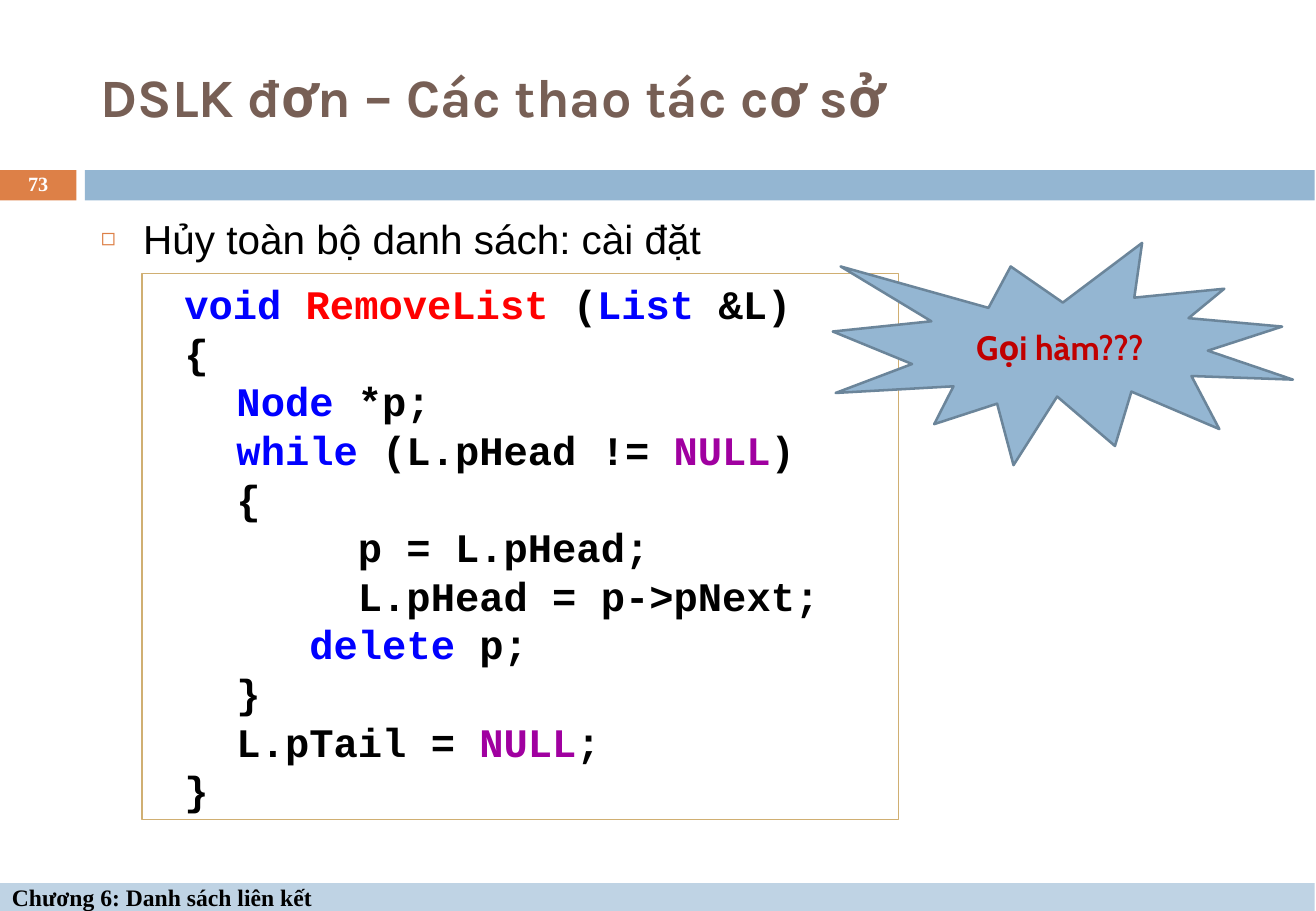
from lxml.etree import SubElement
from pptx import Presentation
from pptx.dml.color import RGBColor
from pptx.enum.shapes import MSO_SHAPE
from pptx.enum.text import MSO_ANCHOR, MSO_AUTO_SIZE, PP_ALIGN
from pptx.oxml.ns import qn
from pptx.util import Inches, Pt

COLORS = {
    "orange": "DD8047", "blue": "94B6D2", "pale": "BFD3E4", "brown": "775F55",
    "black": "000000", "white": "FFFFFF", "gold": "D0AF72", "steel": "6B859A",
    "keyword": "0000FF", "function": "FF0000", "constant": "A000A0",
    "question": "C00000",
}

# Each code line is a list of (text, colour) pieces.
CODE = [
    [("void ", "keyword"), ("RemoveList ", "function"), ("(", "black"),
     ("List", "keyword"), (" &L)", "black")],
    [("{", "black")],
    [("\tNode\t", "keyword"), ("*p;", "black")],
    [("\twhile", "keyword"), (" (L.pHead != ", "black"),
     ("NULL", "constant"), (")", "black")],
    [("\t{", "black")],
    [("\t\tp = L.pHead;", "black")],
    [("\t\tL.pHead = p->pNext;", "black")],
    [("\t   delete ", "keyword"), ("p;", "black")],
    [("\t}", "black")],
    [("\tL.pTail = ", "black"), ("NULL", "constant"), (";", "black")],
    [("}", "black")],
]
CODE_TABS = [0, 1.38, 2, 3, 4, 5, 6, 7]


def rgb(name):
    return RGBColor.from_string(COLORS[name])


def place(element, left, top, width, height):
    element.left, element.top = Inches(left), Inches(top)
    element.width, element.height = Inches(width), Inches(height)


def add_box(slide, box, kind=MSO_SHAPE.RECTANGLE, fill=None, line=None, weight=0.75):
    shape = slide.shapes.add_shape(kind, *map(Inches, box))
    shape.shadow.inherit = False
    if fill:
        shape.fill.solid()
        shape.fill.fore_color.rgb = rgb(fill)
    else:
        shape.fill.background()
    if line:
        shape.line.color.rgb = rgb(line)
        shape.line.width = Pt(weight)
    else:
        shape.line.fill.background()
    return shape


def set_indent(paragraph, margin, first):
    props = paragraph._p.get_or_add_pPr()
    props.set("marL", str(Inches(margin)))
    props.set("indent", str(Inches(first)))
    return props


def add_bullet(paragraph, char, color, percent):
    props = set_indent(paragraph, 0.35, -0.35)
    bullet_color = SubElement(props, qn("a:buClr"))
    SubElement(bullet_color, qn("a:srgbClr"), val=COLORS[color])
    SubElement(props, qn("a:buSzPct"), val=str(percent * 1000))
    SubElement(props, qn("a:buChar"), char=char)


def add_tabs(paragraph, stops):
    props = set_indent(paragraph, 0.68, -0.43)
    props.set("defTabSz", str(Inches(1)))
    tabs = SubElement(props, qn("a:tabLst"))
    for stop in stops:
        SubElement(tabs, qn("a:tab"), pos=str(Inches(stop)), algn="l")


def write(shape, lines, font, size, color="black", bold=True, align=PP_ALIGN.LEFT,
          anchor=MSO_ANCHOR.MIDDLE, spacing=None, tabs=None):
    """Fill a shape with one string, or with lines made of (text, colour) pieces."""
    if isinstance(lines, str):
        lines = [[(lines, color)]]
    frame = shape.text_frame
    frame.word_wrap = True
    frame.auto_size = MSO_AUTO_SIZE.NONE
    frame.vertical_anchor = anchor
    for index, pieces in enumerate(lines):
        paragraph = frame.add_paragraph() if index else frame.paragraphs[0]
        paragraph.alignment = align
        paragraph.space_before = Pt(0)
        if spacing:
            paragraph.line_spacing = spacing
        if tabs:
            add_tabs(paragraph, tabs)
        for text, piece_color in pieces:
            run = paragraph.add_run()
            run.text = text
            run.font.name = font
            run.font.size = Pt(size)
            run.font.bold = bold
            run.font.color.rgb = rgb(piece_color)


def main():
    deck = Presentation()
    deck.slide_width, deck.slide_height = Inches(10.84), Inches(7.5)
    slide = deck.slides.add_slide(deck.slide_layouts[1])

    title, body = slide.placeholders
    place(title, 0.73, 0.25, 9.66, 1.08)
    write(title, "DSLK đơn – Các thao tác cơ sở", "Karla", 32, color="brown")
    place(body, 0.73, 1.75, 9.66, 4.92)
    write(body, "Hủy toàn bộ danh sách: cài đặt", "Arial", 24, bold=False,
          anchor=MSO_ANCHOR.TOP, spacing=Pt(26))
    add_bullet(body.text_frame.paragraphs[0], "◻", "orange", 60)

    add_box(slide, (0, 1.4, 0.63, 0.25), fill="orange")
    add_box(slide, (0.7, 1.4, 10.13, 0.25), fill="blue")
    chapter = add_box(slide, (0, 7.27, 10.83, 0.23), fill="pale")
    write(chapter, "Chương 6: Danh sách liên kết", "Times New Roman", 14)

    page_number = slide.shapes.add_textbox(*map(Inches, (0, 1.39, 0.63, 0.27)))
    write(page_number, "73", "Times New Roman", 12, color="white",
          align=PP_ALIGN.CENTER, spacing=0.8)

    listing = add_box(slide, (1.17, 2.25, 6.23, 4.5), line="gold")
    write(listing, CODE, "Courier New", 24, anchor=MSO_ANCHOR.TOP, tabs=CODE_TABS)

    burst = add_box(slide, (6.86, 2, 3.79, 1.83), MSO_SHAPE.EXPLOSION1,
                    fill="blue", line="steel", weight=1.5)
    write(burst, "Gọi hàm???", "Cabin", 20, color="question", align=PP_ALIGN.CENTER)

    deck.save("out.pptx")


if __name__ == "__main__":
    main()
